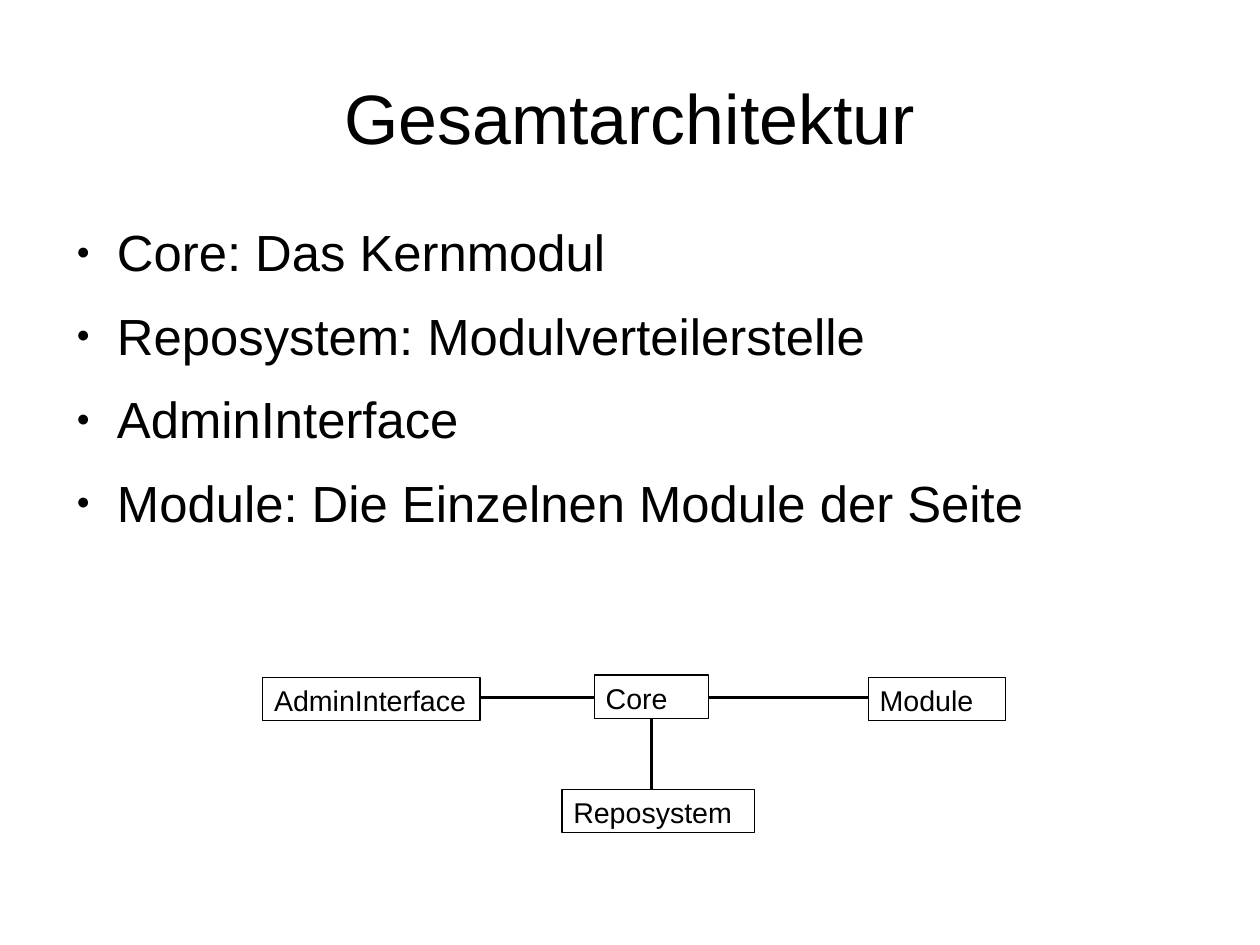
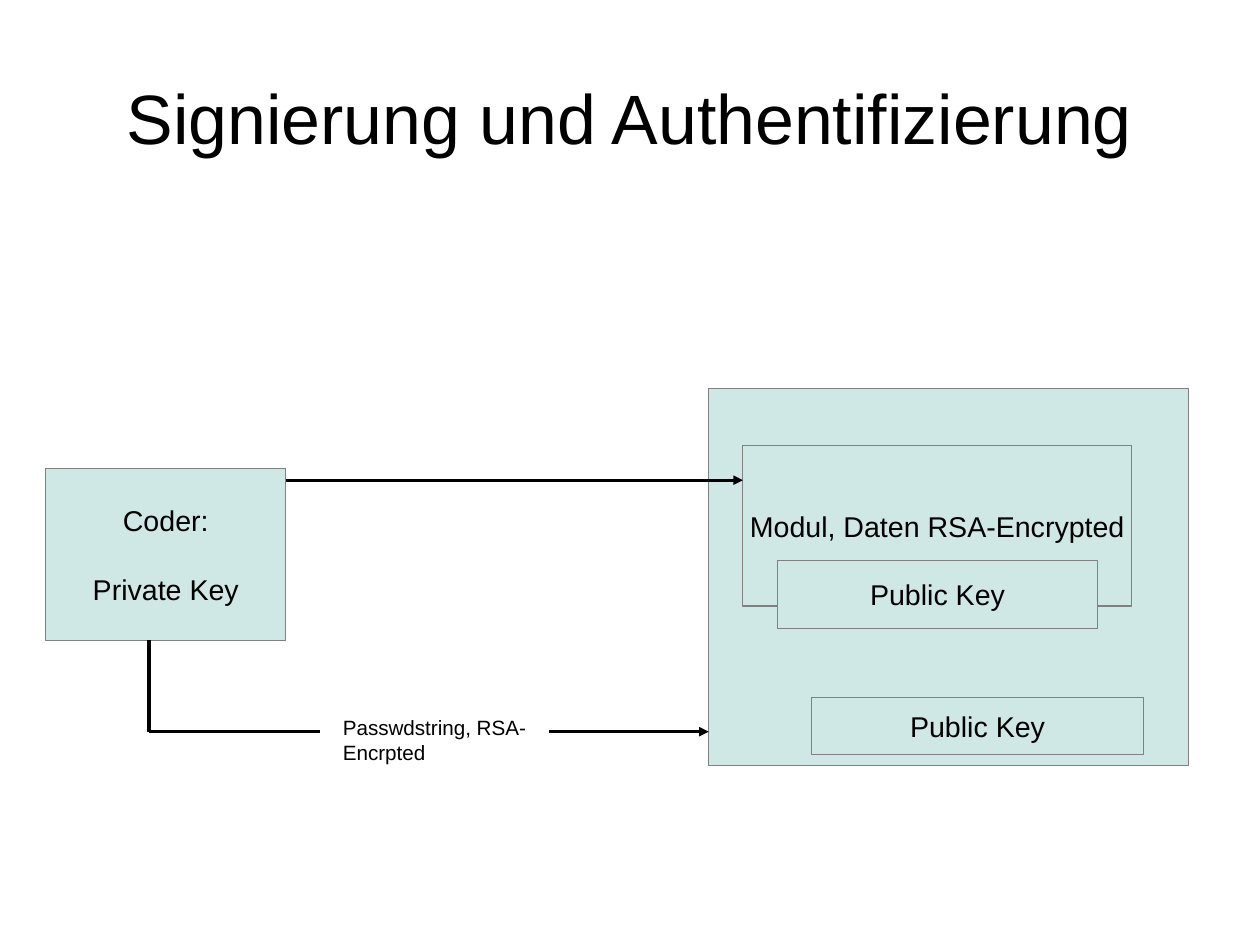
from collections import namedtuple
from dataclasses import dataclass

from lxml import etree
from pptx import Presentation
from pptx import util as u
from pptx.dml.color import RGBColor
from pptx.enum import shapes, text
from pptx.oxml import ns


@dataclass(frozen=True)
class Theme:
    font: str = "Arial"
    ink: str = "000000"
    fill: str = "CFE7E5"
    edge: str = "808080"
    title: float = 44
    body: float = 32
    node: float = 18
    note: float = 13
    after: float = 14.2
    gap: float = 22


T = Theme()
LEFT, MID = text.PP_ALIGN.LEFT, text.PP_ALIGN.CENTER
TOP, CENTER = text.MSO_ANCHOR.TOP, text.MSO_ANCHOR.MIDDLE


class Box(namedtuple("Box", "x y w h")):
    """A rectangle in centimetres."""

    @property
    def right(self):
        return self.x + self.w

    @property
    def base(self):
        return self.y + self.h

    def sub(self, x, y, w, h):
        return Box(self.x + x, self.y + y, w, h)

    def emu(self):
        return [u.Cm(v) for v in self]


PAGE = Box(0, 0, 28, 21)
HEAD = PAGE.sub(1.4, 0.84, 25.2, 3.5)
LIST = PAGE.sub(1.4, 4.91, 25.2, 13.87)
PARTS = PAGE.sub(5.84, 15, 18.9, 4)
FLOW = PAGE.sub(1.02, 8.64, 25.4, 8.38)


# Basic pieces

def color(code):
    return RGBColor.from_string(code)


def apply(item, form):
    for name, value in form.items():
        setattr(item, name, value)


def tag(parent, name, **attrs):
    return etree.SubElement(parent, ns.qn(name), attrs)


def write(shape, lines, size, align=LEFT, anchor=TOP, pad=(0.25, 0.13),
          wrap=True, before=0, after=0):
    frame = shape.text_frame
    side, edge = map(u.Cm, pad)
    apply(frame, {"word_wrap": wrap, "vertical_anchor": anchor,
                  "margin_left": side, "margin_right": side,
                  "margin_top": edge, "margin_bottom": edge})
    for i, line in enumerate(lines):
        para = frame.add_paragraph() if i else frame.paragraphs[0]
        apply(para, {"alignment": align, "space_after": u.Pt(after),
                     "space_before": u.Pt(before if i else 0)})
        run = para.add_run()
        run.text = line
        apply(run.font, {"name": T.font, "size": u.Pt(size)})
        run.font.color.rgb = color(T.ink)
    return frame


def label(slide, box, lines, size, **form):
    return write(slide.shapes.add_textbox(*box.emu()), lines, size, **form)


def rect(slide, box, lines=(), fill=None, edge=T.ink, **form):
    shape = slide.shapes.add_shape(shapes.MSO_SHAPE.RECTANGLE, *box.emu())
    shape.shadow.inherit = False
    if fill:
        shape.fill.solid()
        shape.fill.fore_color.rgb = color(fill)
    else:
        shape.fill.background()
    shape.line.color.rgb = color(edge)
    shape.line.width = u.Pt(0)
    write(shape, lines, T.node, **form)


def line(slide, x1, y1, x2, y2, arrow=False):
    link = slide.shapes.add_connector(
        shapes.MSO_CONNECTOR.STRAIGHT, *map(u.Cm, (x1, y1, x2, y2)))
    link.line.color.rgb = color(T.ink)
    link.line.width = u.Pt(0)
    if arrow:
        tag(link.line._get_or_add_ln(), "a:tailEnd", type="triangle")
    tag(link._element.spPr, "a:effectLst")


# Slide regions

def title(slide, box, words):
    label(slide, box, [words], T.title, align=MID, anchor=CENTER, pad=(0, 0))


def bullets(slide, box, lines):
    frame = label(slide, box, lines, T.body, pad=(0, 0), after=T.after)
    for para in frame.paragraphs:
        props = para._p.get_or_add_pPr()
        props.set("marL", str(u.Cm(1.2)))
        props.set("indent", str(u.Cm(-0.9)))
        tag(tag(props, "a:buClr"), "a:srgbClr", val=T.ink)
        tag(props, "a:buSzPct", val="45000")
        tag(props, "a:buFont", typeface=T.font)
        tag(props, "a:buChar", char="●")


def parts(slide, box):
    high = 0.97
    core = box.sub(7.37, 0, 2.54, high)
    mod = box.sub(13.46, 0.05, 3.05, high)
    repo = box.sub(6.65, 2.54, 4.27, high)
    admin = box.sub(0, 0.05, 4.83, high)
    for node, name in ((core, "Core"), (mod, "Module"),
                       (repo, "Reposystem"), (admin, "AdminInterface")):
        rect(slide, node, [name])
    # Links between the nodes
    row, stem = box.y + 0.5, core.x + core.w / 2
    for a, b in ((admin, core), (core, mod)):
        line(slide, a.right, row, b.x, row)
    line(slide, stem, core.base, stem, repo.y)


def flow(slide, box):
    form = {"fill": T.fill, "edge": T.edge, "align": MID,
            "anchor": CENTER, "wrap": False}
    host = box.sub(14.73, 0, 10.67, 8.38)
    coder = box.sub(0, 1.78, 5.33, 3.81)
    data = box.sub(15.49, 1.27, 8.64, 3.56)
    # Sender, receiver and payload
    rect(slide, host, **form)
    label(slide, box.sub(6.35, 7.11, 5.84, 1.27),
          ["Passwdstring, RSA-Encrpted"], T.note)
    rect(slide, coder, ["Coder:", "Private Key"], before=T.gap, **form)
    rect(slide, data, ["Modul, Daten RSA-Encrypted"], **form)
    # Password path, then module path
    stem, low, top = box.x + 2.29, box.y + 7.62, box.y + 2.03
    line(slide, stem, coder.base, stem, low)
    line(slide, stem, low, box.x + 6.1, low)
    line(slide, box.x + 11.18, low, host.x, low, arrow=True)
    line(slide, coder.right, top, data.x, top, arrow=True)
    # Keys
    for key in (box.sub(17.02, 6.86, 7.37, 1.27),
                box.sub(16.26, 3.81, 7.11, 1.52)):
        rect(slide, key, ["Public Key"], **form)


# Slides

def start(deck, words):
    slide = deck.slides.add_slide(deck.slide_layouts[6])
    title(slide, HEAD, words)
    return slide


def main():
    deck = Presentation()
    apply(deck, {"slide_width": u.Cm(PAGE.w), "slide_height": u.Cm(PAGE.h)})

    slide = start(deck, "Gesamtarchitektur")
    bullets(slide, LIST, ["Core: Das Kernmodul",
                          "Reposystem: Modulverteilerstelle",
                          "AdminInterface",
                          "Module: Die Einzelnen Module der Seite"])
    parts(slide, PARTS)

    slide = start(deck, "Signierung und Authentifizierung")
    flow(slide, FLOW)

    deck.save("out.pptx")


if __name__ == "__main__":
    main()
